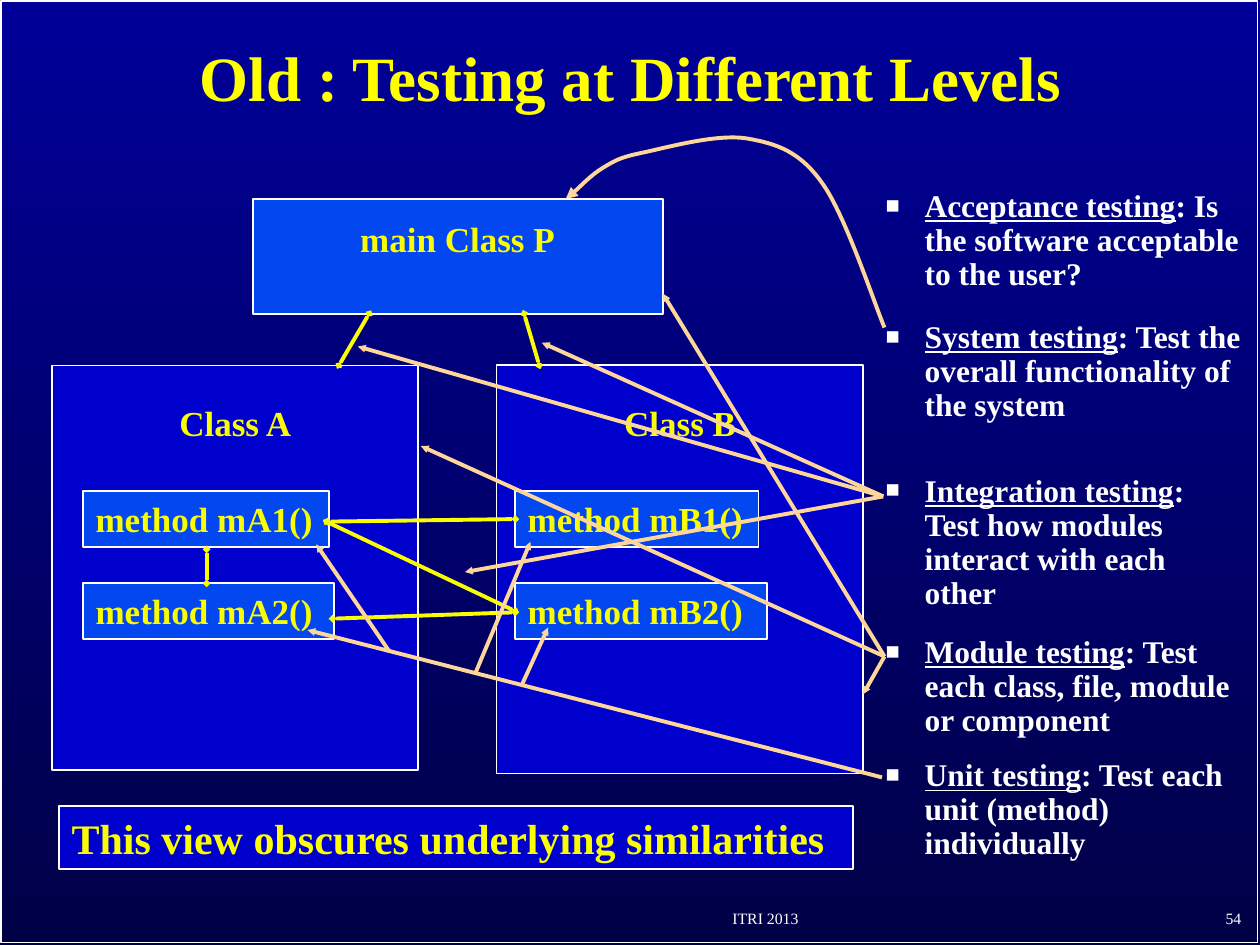
import pptx
import pptx.util
import pptx.dml.color
import pptx.enum.shapes
import pptx.enum.text
import pptx.oxml
import pptx.oxml.ns
from lxml import etree

COLS, ROWS = 100, 75
CELL = pptx.util.Inches(0.1)
FONT = "Times New Roman"
GOLD, YELLOW, WHITE, PEACH = "FAFD00", "FFFF00", "FFFFFF", "FFD699"
NAVY, BLUE = "0000CC", "0347F1"
ALIGN = pptx.enum.text.PP_ALIGN
ANCHOR = pptx.enum.text.MSO_ANCHOR
RECT = pptx.enum.shapes.MSO_SHAPE.RECTANGLE
LINE = pptx.enum.shapes.MSO_CONNECTOR.STRAIGHT


def grid(*cells):
    """Turn grid columns and rows into slide lengths."""
    return [round(cell * CELL) for cell in cells]


def hue(code):
    return pptx.dml.color.RGBColor.from_string(code)


def node(parent, tag, **attrs):
    return etree.SubElement(parent, pptx.oxml.ns.qn("a:" + tag), attrs)


def write(shape, text, size, color=GOLD, bold=True, align=ALIGN.LEFT,
          anchor=ANCHOR.TOP, wrap=True):
    frame = shape.text_frame
    frame.word_wrap = wrap
    frame.vertical_anchor = anchor
    para = frame.paragraphs[0]
    para.alignment = align
    font = para.font
    font.name, font.size, font.bold = FONT, pptx.util.Pt(size), bold
    font.color.rgb = hue(color)
    if text:
        para.add_run().text = text
    return para


def label(slide, place, text, size, **style):
    return write(slide.shapes.add_textbox(*grid(*place)), text, size, **style)


def box(slide, place, fill=None):
    shape = slide.shapes.add_shape(RECT, *grid(*place))
    shape.shadow.inherit = False
    if fill:
        shape.fill.solid()
        shape.fill.fore_color.rgb = hue(fill)
    else:
        shape.fill.background()
    shape.line.color.rgb = hue(WHITE)
    shape.line.width = pptx.util.Pt(1)
    return shape


def stroke(shape, color, head=None, tail=None, size="sm"):
    """Style a line and put marks on its ends."""
    shape.line.color.rgb = hue(color)
    shape.line.width = pptx.util.Pt(2.25)
    ln = shape.line._get_or_add_ln()
    for tag, kind in (("headEnd", head), ("tailEnd", tail)):
        if kind:
            node(ln, tag, type=kind, w=size, len=size)


def join(slide, start, end, color, **ends):
    line = slide.shapes.add_connector(LINE, *grid(*start, *end))
    stroke(line, color, **ends)
    node(line._element.spPr, "effectLst")


def curve(slide, points, color):
    """Draw a cubic curve: a start point, then three points per piece."""
    first, *rest = [grid(*point) for point in points]
    maker = slide.shapes.build_freeform(*first)
    maker.add_line_segments(rest, close=False)
    shape = maker.convert_to_shape()
    shape.shadow.inherit = False
    shape.fill.background()
    stroke(shape, color, tail="triangle", size="med")
    track = shape._element.find(".//" + pptx.oxml.ns.qn("a:path"))
    steps = track.findall(pptx.oxml.ns.qn("a:lnTo"))
    for i in range(0, len(steps), 3):
        bend = node(track, "cubicBezTo")
        for step in steps[i:i + 3]:
            bend.append(step[0])
            track.remove(step)


def note(slide, top, high, term, text):
    """Write a bulleted definition with its term underlined."""
    shape = slide.shapes.add_textbox(*grid(69.3, top, 30.3, high))
    props = shape.text_frame.paragraphs[0]._p.get_or_add_pPr()
    indent = pptx.util.Inches(0.31)
    props.set("marL", str(indent))
    props.set("indent", str(-indent))
    node(node(props, "buClr"), "srgbClr", val=WHITE)
    node(props, "buSzPct", val="75000")
    node(props, "buFont", typeface=FONT)
    node(props, "buChar", char="■")
    para = write(shape, term, 18, WHITE)
    para.line_spacing = 0.9
    para.runs[0].font.underline = True
    para.add_run().text = ": " + text


def panel(slide, left, high, name, inset, widths):
    """Draw a class with its two methods."""
    box(slide, (left, 29, 29.1, high), NAVY)
    label(slide, (left + 9.15, 31.4, 11, 4.4), "Class " + name, 20, wrap=False)
    for i, wide in enumerate(widths):
        method = box(slide, (left + inset, 39 + 7.3 * i, wide, 4.4), BLUE)
        write(method, f"method m{name}{i + 1}()", 20)


def backdrop(slide):
    fill = slide.background.fill
    fill.gradient()
    fill.gradient_angle = 270
    for stop, code in zip(fill.gradient_stops, ("000099", "000047")):
        stop.color.rgb = hue(code)
    box(slide, (0.1, 0.1, COLS - 0.3, ROWS - 0.3))


def main():
    deck = pptx.Presentation()
    deck.slide_width, deck.slide_height = grid(COLS, ROWS)
    slide = deck.slides.add_slide(deck.slide_layouts[6])
    backdrop(slide)
    label(slide, (1, 1.1, 98.1, 10), "Old : Testing at Different Levels", 36,
          color=YELLOW, align=ALIGN.CENTER, anchor=ANCHOR.MIDDLE)

    panel(slide, 4.1, 32.1, "A", 2.5, (19.5, 19.9))
    panel(slide, 39.4, 32.4, "B", 1.5, (19.3, 20))
    box(slide, (20.1, 15.8, 32.5, 9.1), BLUE)
    label(slide, (27.6, 16.8, 17.5, 4.4), "main Class P", 20)

    calls = [
        ((26.9, 29), (29.3, 24.9)), ((42.8, 29), (41.6, 24.9)),
        ((16.4, 43.6), (16.4, 46.3)), ((25.9, 41.4), (40.9, 48.5)),
        ((26.4, 49.1), (40.9, 48.6)), ((26, 41.4), (40.9, 41.2)),
    ]
    for start, end in calls:
        join(slide, start, end, GOLD, head="diamond", tail="diamond")

    notes = [
        (14.6, 9.7, "Acceptance testing",
         "Is the software acceptable to the user?"),
        (25, 11.6, "System testing",
         "Test the overall functionality of the system"),
        (37.2, 12.1, "Integration testing",
         "Test how modules interact with each other"),
        (50, 9.1, "Module testing",
         "Test each class, file, module or component"),
        (59.8, 8.7, "Unit testing", "Test each unit (method) individually"),
    ]
    for item in notes:
        note(slide, *item)

    curve(slide, [(70.2, 26), (69.4, 24.1), (67.1, 17.1), (65.3, 14.6),
                  (63.5, 12), (61.6, 11.4), (59.3, 11),
                  (56.9, 10.6), (53, 11.7), (51.1, 12.1),
                  (49.2, 12.5), (48.9, 12.7), (47.9, 13.3),
                  (46.9, 13.9), (45.6, 15.3), (44.9, 15.8)], PEACH)
    rays = {
        (70.1, 39.4): [(43, 27.2), (28.4, 27.5), (36.9, 45.4)],
        (70.2, 52.1): [(33.4, 35.4), (68.5, 55.1), (52.6, 23.3)],
        (70, 61.7): [(24.4, 50)],
        (30.9, 51.7): [(25.1, 43.2)],
        (37.7, 53.5): [(42.1, 43)],
        (41.4, 54.4): [(43.5, 49.8)],
    }
    for start, ends in rays.items():
        for end in ends:
            join(slide, start, end, PEACH, tail="triangle")

    para = write(box(slide, (4.7, 64, 63, 5), NAVY), "This view ", 24)
    word = para.add_run()
    word.text = "obscures"
    word.font.color.rgb = hue(YELLOW)
    para.add_run().text = " underlying similarities"

    foot = dict(color=WHITE, bold=False, anchor=ANCHOR.BOTTOM, wrap=False)
    label(slide, (44.9, 71.3, 31.7, 2.8), "ITRI 2013", 9,
          align=ALIGN.CENTER, **foot)
    label(slide, (78.7, 71.2, 20.8, 2.9), "54", 9, align=ALIGN.RIGHT, **foot)
    deck.save("out.pptx")


if __name__ == "__main__":
    main()
